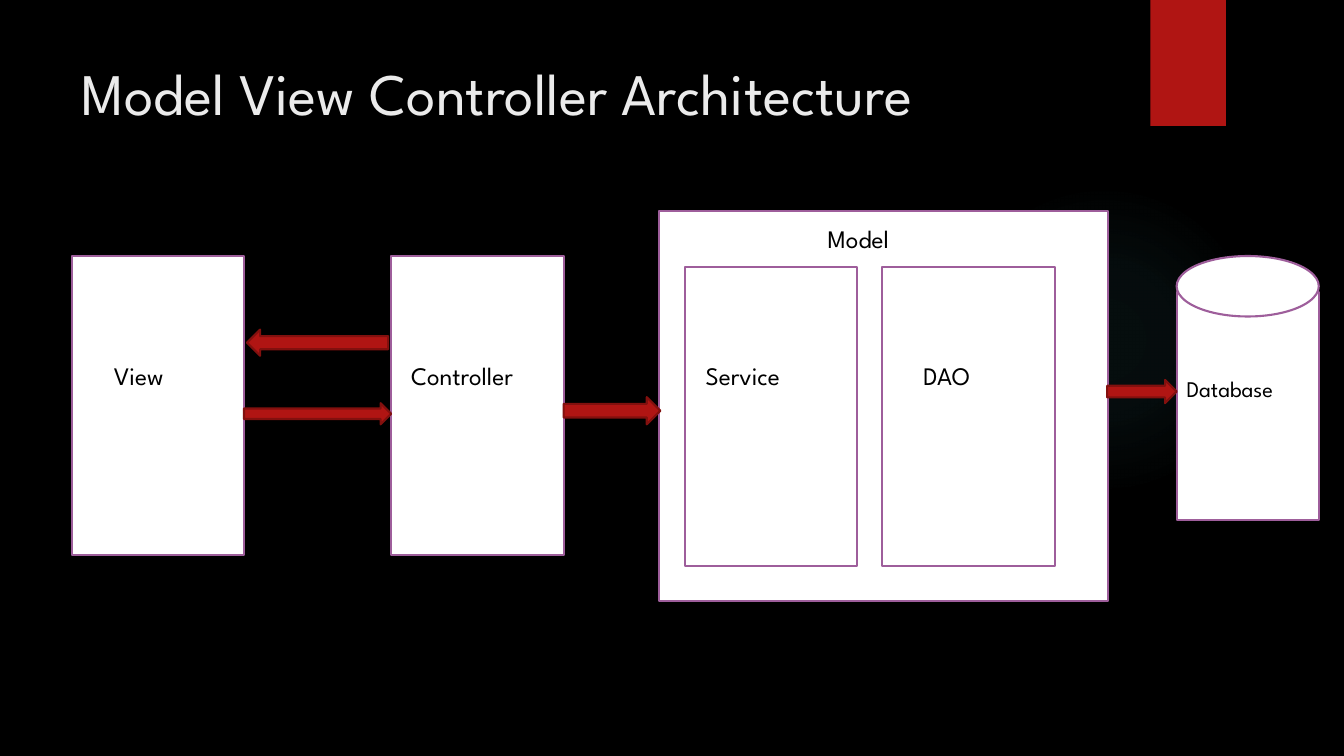
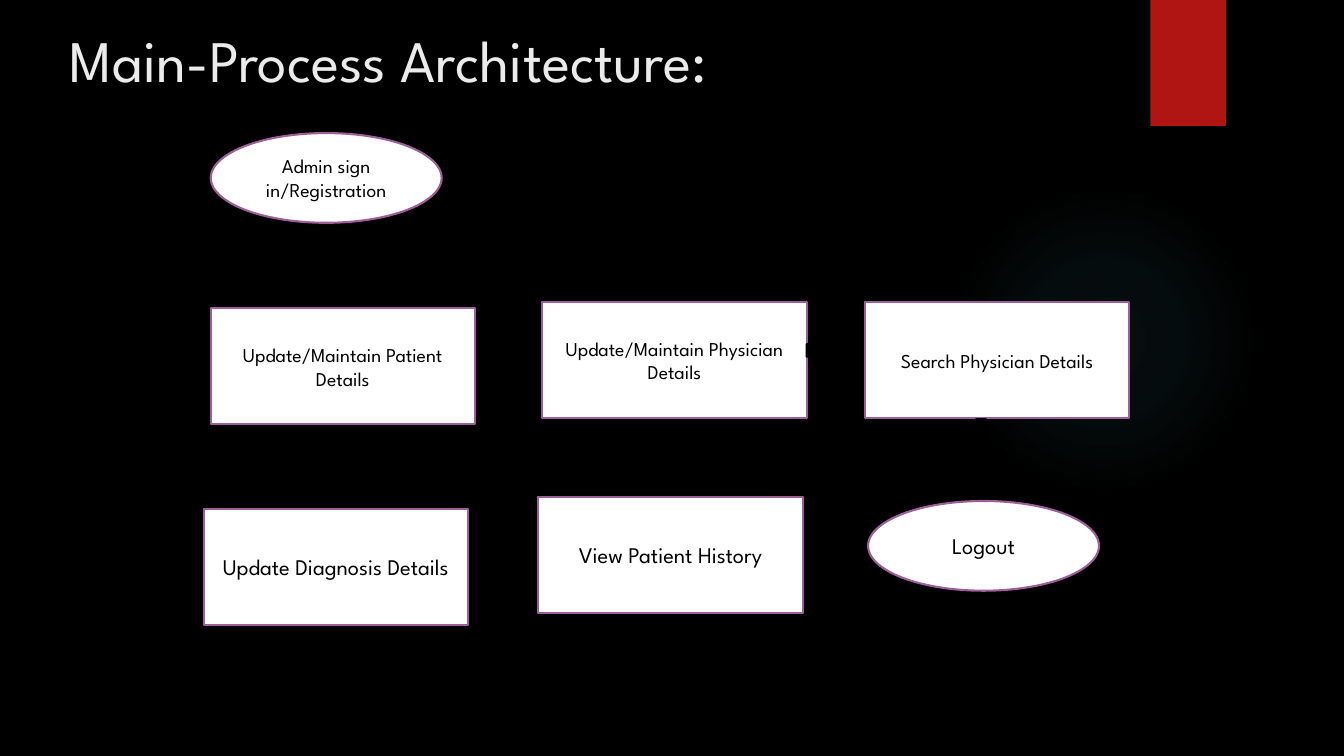
"""Build two dark slides that show a layered design and its main process."""
from dataclasses import dataclass

from pptx import Presentation
from pptx.dml.color import RGBColor
from pptx.enum.shapes import MSO_SHAPE
from pptx.enum.text import MSO_ANCHOR, PP_ALIGN
from pptx.oxml import parse_xml
from pptx.oxml.ns import nsdecls
from pptx.util import Pt

RECT, OVAL = MSO_SHAPE.RECTANGLE, MSO_SHAPE.OVAL
RIGHT, LEFT, DOWN = MSO_SHAPE.RIGHT_ARROW, MSO_SHAPE.LEFT_ARROW, MSO_SHAPE.DOWN_ARROW
MIDDLE, TOP = MSO_ANCHOR.MIDDLE, MSO_ANCHOR.TOP
CENTER, START = PP_ALIGN.CENTER, PP_ALIGN.LEFT

SCALE = 9144
WIDE, HIGH = 1333, 750


@dataclass(frozen=True)
class Theme:
    """Hold the colours, type sizes and font of the deck."""
    font: str = "League Spartan"
    black: str = "000000"
    white: str = "FFFFFF"
    pale: str = "EBEBEB"
    red: str = "B01513"
    dark: str = "82100E"
    plum: str = "9E5E9B"
    glow: str = "50B9C1"
    head: int = 42
    large: int = 18
    mid: int = 16
    small: int = 14
    line: float = 1.5


THEME = Theme()
LOOKS = {
    "card": (THEME.white, THEME.plum),
    "flow": (THEME.red, THEME.dark),
    "ink": (THEME.black, THEME.black),
    "band": (THEME.red, None),
}
GLOW_STOPS = [(0, 7), (36, 6), (69, 0)]
GLOW_BOX = (941, 183, 308, 308)
BAND_BOX = (1141, 0, 75, 125)

PANE = (171, 297)
STEP = (262, 115)
PILL = (229, 89)
DROP = (20, 77)
HOP = (59, 25)
LABEL = (148, 40)

SLIDES = [
    {
        "title": ("Model View Controller Architecture", (71, 50, 1029, 83)),
        "shapes": [
            (RECT, "card", (71, 254, *PANE)),
            (RECT, "card", (388, 254, *PANE)),
            (RECT, "card", (654, 209, 445, 387)),
            (RECT, "card", (679, 265, *PANE)),
            (RECT, "card", (875, 265, *PANE)),
            (RECT, "card", (1167, 290, 141, 226)),
            (OVAL, "card", (1167, 254, 141, 60)),
            (RIGHT, "flow", (242, 400, 146, 21)),
            (RIGHT, "flow", (559, 394, 96, 27)),
            (RIGHT, "flow", (1098, 377, 69, 23)),
            (LEFT, "flow", (245, 327, 140, 26)),
        ],
        "labels": [
            ("View", THEME.large, (103, 353, 129, 40)),
            ("Controller", THEME.large, (398, 353, *LABEL)),
            ("Model", THEME.large, (811, 217, *LABEL)),
            ("Service", THEME.large, (690, 353, *LABEL)),
            ("DAO", THEME.large, (906, 353, *LABEL)),
            ("Database", THEME.mid, (1167, 367, 141, 37)),
        ],
    },
    {
        "title": ("Main-Process Architecture:", (59, 20, 1029, 78)),
        "shapes": [
            (OVAL, "card", (209, 132, *PILL), "Admin sign in/Registration", THEME.small),
            (RECT, "card", (209, 306, *STEP), "Update/Maintain Patient Details", THEME.small),
            (DOWN, "ink", (313, 225, *DROP)),
            (DOWN, "ink", (313, 425, *DROP)),
            (RECT, "card", (202, 505, *STEP), "Update Diagnosis Details", THEME.mid),
            (RIGHT, "ink", (470, 529, *HOP)),
            (RECT, "card", (534, 493, *STEP), "View Patient History", THEME.mid),
            (OVAL, "card", (861, 497, *PILL), "Logout", THEME.mid),
            (RIGHT, "ink", (800, 529, *HOP)),
            (RECT, "card", (538, 300, *STEP), "Update/Maintain Physician Details", THEME.small),
            (RECT, "ink", (323, 233, 317, 7)),
            (DOWN, "ink", (624, 240, 20, 50)),
            (RIGHT, "ink", (800, 335, *HOP)),
            (RECT, "card", (858, 300, *STEP), "Search Physician Details", THEME.small),
            (DOWN, "ink", (963, 416, *DROP)),
        ],
        "labels": [],
    },
]


def apply(item, values):
    """Set each named value on an object."""
    for name, value in values.items():
        setattr(item, name, value)


def scaled(box):
    """Turn a box in px into EMU."""
    return [side * SCALE for side in box]


def paint(fill, color):
    """Give a fill one solid colour."""
    fill.solid()
    fill.fore_color.rgb = RGBColor.from_string(color)


def write(frame, text, size, color, align, anchor):
    """Put one styled paragraph in a text frame."""
    apply(frame, {"text": text, "word_wrap": True, "vertical_anchor": anchor})
    line = frame.paragraphs[0]
    line.alignment = align
    font = line.runs[0].font
    apply(font, {"name": THEME.font, "size": Pt(size)})
    font.color.rgb = RGBColor.from_string(color)


def draw(slide, kind, look, box, text=None, size=None):
    """Add a preset shape in one of the shared looks."""
    shape = slide.shapes.add_shape(kind, *scaled(box))
    shape.shadow.inherit = False
    fill, edge = LOOKS[look]
    paint(shape.fill, fill)
    if edge:
        paint(shape.line.fill, edge)
        shape.line.width = Pt(THEME.line)
    else:
        shape.line.fill.background()
    if text:
        write(shape.text_frame, text, size, THEME.black, CENTER, MIDDLE)
    return shape


def shade(shape):
    """Swap a solid fill for a faint round glow."""
    stops = "".join(
        f'<a:gs pos="{pos * 1000}"><a:srgbClr val="{THEME.glow}">'
        f'<a:alpha val="{alpha * 1000}"/></a:srgbClr></a:gs>'
        for pos, alpha in GLOW_STOPS
    )
    glow = parse_xml(
        f'<a:gradFill {nsdecls("a")} rotWithShape="1"><a:gsLst>{stops}</a:gsLst>'
        '<a:path path="circle"><a:fillToRect l="50000" t="50000" r="50000" b="50000"/>'
        "</a:path></a:gradFill>"
    )
    props = shape.element.spPr
    props.replace(props.find("{*}solidFill"), glow)


def dress(master, slide):
    """Set the shared ground, glow and band on the master."""
    paint(master.background.fill, THEME.black)
    glow = draw(slide, OVAL, "band", GLOW_BOX)
    shade(glow)
    band = draw(slide, RECT, "band", BAND_BOX)
    for place, shape in enumerate((glow, band), 2):
        master.shapes.element.insert(place, shape.element)


def build(slide, page):
    """Fill one slide from its content."""
    text, box = page["title"]
    title = slide.shapes.title
    apply(title, dict(zip(("left", "top", "width", "height"), scaled(box))))
    write(title.text_frame, text, THEME.head, THEME.pale, START, MIDDLE)
    for part in page["shapes"]:
        draw(slide, *part)
    for text, size, box in page["labels"]:
        frame = slide.shapes.add_textbox(*scaled(box)).text_frame
        write(frame, text, size, THEME.black, START, TOP)


def main():
    """Make the deck and save it."""
    deck = Presentation()
    apply(deck, {"slide_width": WIDE * SCALE, "slide_height": HIGH * SCALE})
    layout = deck.slide_layouts.get_by_name("Title Only")
    slides = [deck.slides.add_slide(layout) for _ in SLIDES]
    dress(deck.slide_master, slides[0])
    for slide, page in zip(slides, SLIDES):
        build(slide, page)
    deck.save("out.pptx")


if __name__ == "__main__":
    main()
